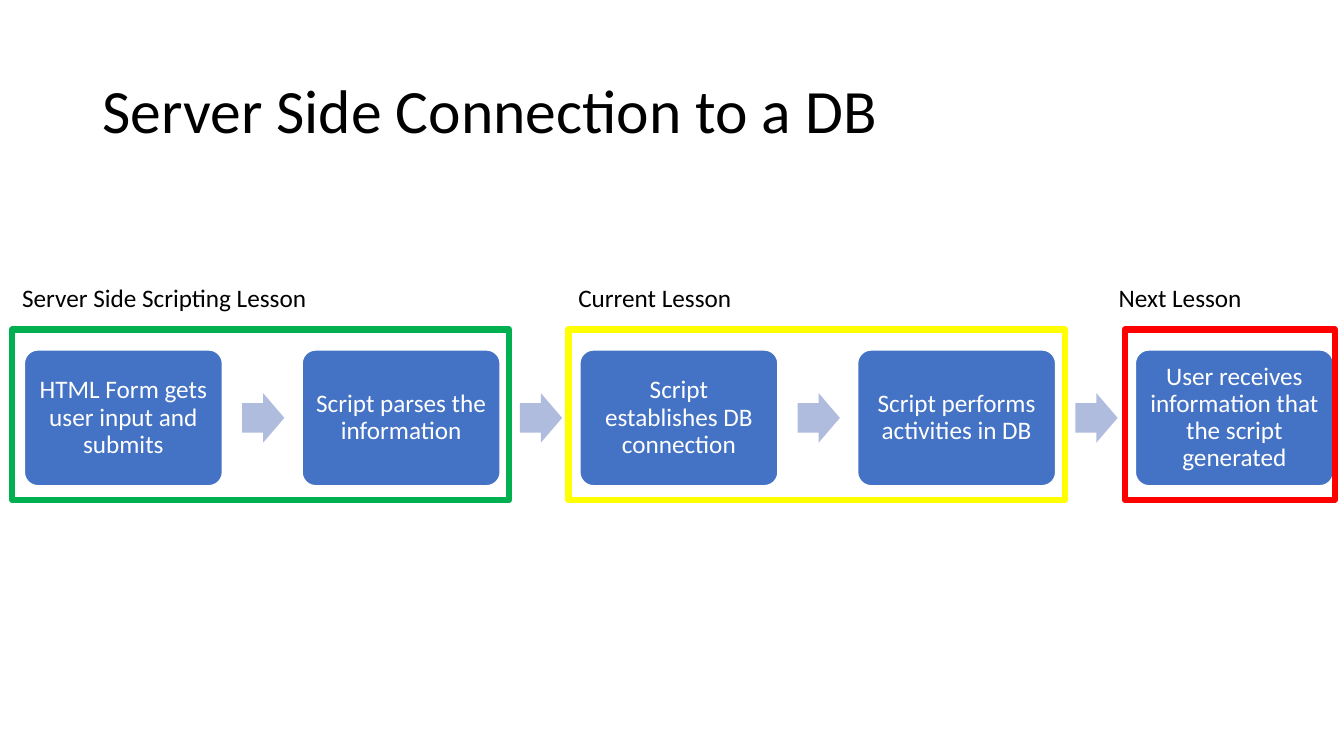
import pptx
import pptx.util
import pptx.dml.color
import pptx.enum.shapes
import pptx.enum.text

TITLE = "Server Side Connection to a DB"
STEPS = [
    "HTML Form gets user input and submits",
    "Script parses the information",
    "Script establishes DB connection",
    "Script performs activities in DB",
    "User receives information that the script generated",
]
LESSONS = [
    {"name": "Server Side Scripting Lesson", "color": "00B050",
     "frame": (8.7, 355), "label": (8.7, 220)},
    {"name": "Current Lesson", "color": "FFFF00",
     "frame": (406, 355), "label": (406, 125)},
    {"name": "Next Lesson", "color": "FF0000",
     "frame": (803.5, 150), "label": (792, 103)},
]
THEME = {
    "font": "Calibri", "title_size": 44, "body_size": 18,
    "text": "000000", "step": "4472C4", "step_text": "FFFFFF",
    "arrow": "B0BCDE",
}

STEP_LEFT, STEP_TOP, STEP_WIDTH, STEP_HEIGHT = 17.4, 250, 141.5, 97
STEP_PITCH = 198.4
ARROW_OFFSET, ARROW_WIDTH, ARROW_HEIGHT = 155.5, 30.2, 35.3
FRAME_TOP, FRAME_HEIGHT = 235.4, 121.7
LABEL_TOP, LABEL_HEIGHT = 198, 29

Pt = pptx.util.Pt
SHAPE = pptx.enum.shapes.MSO_SHAPE
ANCHOR = pptx.enum.text.MSO_ANCHOR
ALIGN = pptx.enum.text.PP_ALIGN


def rgb(value):
    return pptx.dml.color.RGBColor.from_string(value)


def write(box, text, size, color, align=ALIGN.LEFT, spacing=None):
    box.text_frame.text = text
    para = box.text_frame.paragraphs[0]
    para.alignment = align
    para.line_spacing = spacing
    font = para.runs[0].font
    font.name = THEME["font"]
    font.size = Pt(size)
    font.color.rgb = rgb(color)


def add_shape(page, kind, bounds, fill=None, line=None, line_width=1):
    shape = page.shapes.add_shape(kind, *map(Pt, bounds))
    shape.shadow.inherit = False
    if fill:
        shape.fill.solid()
        shape.fill.fore_color.rgb = rgb(fill)
    else:
        shape.fill.background()
    if line:
        shape.line.color.rgb = rgb(line)
        shape.line.width = Pt(line_width)
    else:
        shape.line.fill.background()
    return shape


def add_title(page):
    title = page.shapes.title
    title.left, title.top, title.width, title.height = map(Pt, (66, 28.75, 828, 104.4))
    title.text_frame.vertical_anchor = ANCHOR.MIDDLE
    write(title, TITLE, THEME["title_size"], THEME["text"], spacing=0.9)


def add_step(page, index, text):
    left = STEP_LEFT + index * STEP_PITCH
    box = add_shape(page, SHAPE.ROUNDED_RECTANGLE,
                    (left, STEP_TOP, STEP_WIDTH, STEP_HEIGHT),
                    THEME["step"], THEME["step_text"])
    box.adjustments[0] = 0.1
    frame = box.text_frame
    frame.word_wrap = True
    frame.vertical_anchor = ANCHOR.MIDDLE
    frame.margin_left = frame.margin_right = Pt(5)
    frame.margin_top = frame.margin_bottom = Pt(5)
    write(box, text, THEME["body_size"], THEME["step_text"], ALIGN.CENTER, 0.9)
    if index < len(STEPS) - 1:
        top = STEP_TOP + (STEP_HEIGHT - ARROW_HEIGHT) / 2
        arrow = add_shape(page, SHAPE.RIGHT_ARROW,
                          (left + ARROW_OFFSET, top, ARROW_WIDTH, ARROW_HEIGHT),
                          THEME["arrow"])
        arrow.adjustments[0] = 0.6
        arrow.adjustments[1] = 0.5


def add_lesson(page, lesson):
    left, width = lesson["frame"]
    add_shape(page, SHAPE.RECTANGLE, (left, FRAME_TOP, width, FRAME_HEIGHT),
              line=lesson["color"], line_width=4.5)
    left, width = lesson["label"]
    label = page.shapes.add_textbox(*map(Pt, (left, LABEL_TOP, width, LABEL_HEIGHT)))
    label.text_frame.word_wrap = False
    write(label, lesson["name"], THEME["body_size"], THEME["text"])


def main():
    deck = pptx.Presentation()
    deck.slide_width, deck.slide_height = Pt(960), Pt(540)
    page = deck.slides.add_slide(deck.slide_layouts.get_by_name("Title Only"))
    add_title(page)
    for index, text in enumerate(STEPS):
        add_step(page, index, text)
    for lesson in LESSONS:
        add_lesson(page, lesson)
    deck.save("out.pptx")


if __name__ == "__main__":
    main()
